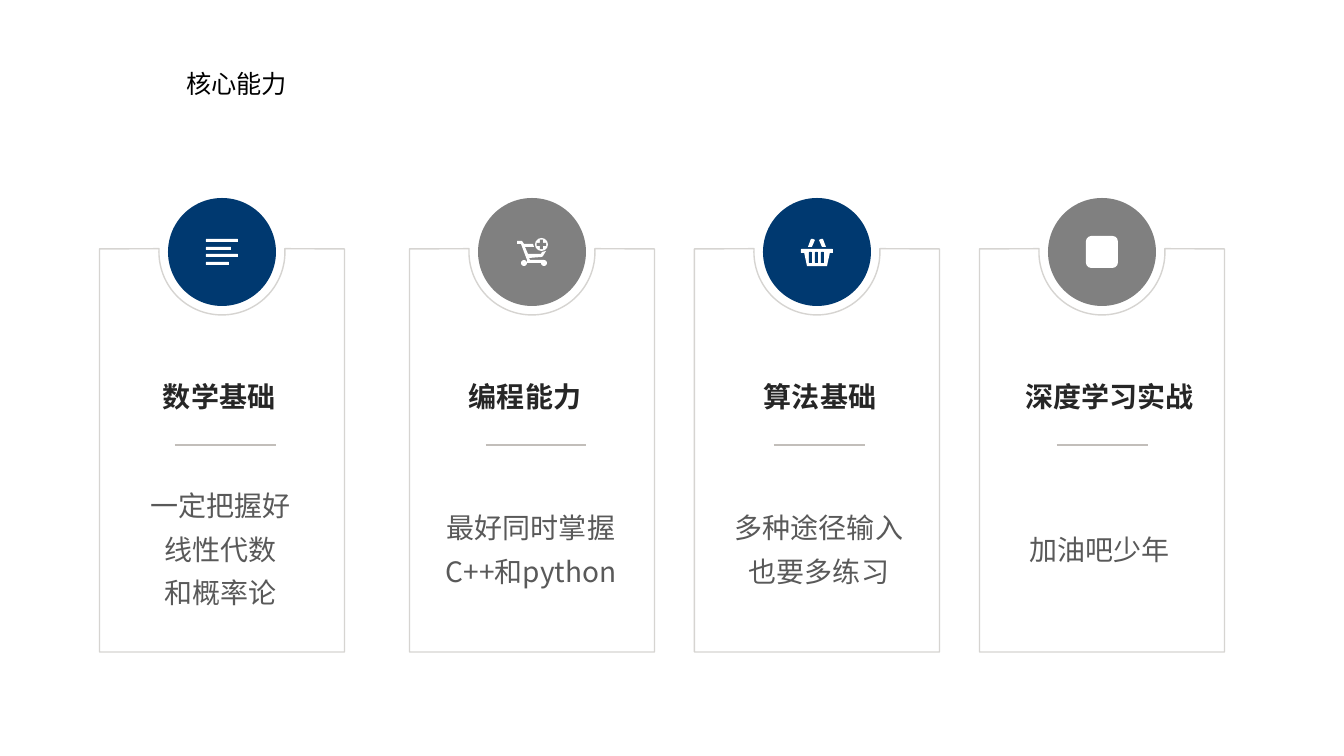
"""Build the core skills slide: four notched cards with round icon badges."""
import math
from dataclasses import dataclass

from lxml import etree
from pptx import Presentation
from pptx import util as u
from pptx.dml.color import RGBColor
from pptx.enum import shapes, text
from pptx.oxml.ns import qn


@dataclass(frozen=True)
class Theme:
    navy: str = "003970"
    gray: str = "808080"
    white: str = "FFFFFF"
    outline: str = "D6D4D1"
    rule: str = "C2BEBA"
    black: str = "000000"
    heading: str = "262626"
    body: str = "595959"
    latin: str = "Arial"
    cjk: str = "Noto Sans CJK SC"
    title_size: int = 18
    card_size: int = 20


T = Theme()
PX = 914400 / 100.8
SHAPE = shapes.MSO_SHAPE
OVAL, PILL, PLUS = SHAPE.OVAL, SHAPE.ROUNDED_RECTANGLE, SHAPE.MATH_PLUS


def draw(parent, kind, geometry, fill=None, line=None, origin=(0, 0)):
    ox, oy = origin
    if kind is None:
        points = [(round((x + ox) * PX), round((y + oy) * PX)) for x, y in geometry]
        builder = parent.build_freeform(*points[0])
        builder.add_line_segments(points[1:], close=True)
        sp = builder.convert_to_shape()
    else:
        x, y, w, h = geometry
        sp = parent.add_shape(kind, *(round(v * PX) for v in (x + ox, y + oy, w, h)))
    sp.shadow.inherit = False
    if fill:
        sp.fill.solid()
        sp.fill.fore_color.rgb = RGBColor.from_string(fill)
    else:
        sp.fill.background()
    if line:
        sp.line.color.rgb = RGBColor.from_string(line)
        sp.line.width = u.Pt(1)
    else:
        sp.line.fill.background()
    return sp


def write(parent, lines, box, *, size, color, font, bold=False, center=True,
          spacing=1.0, inset=3, anchor=text.MSO_ANCHOR.MIDDLE):
    sp = parent.add_textbox(*(round(v * PX) for v in box))
    tf = sp.text_frame
    tf.word_wrap = True
    tf.auto_size = text.MSO_AUTO_SIZE.SHAPE_TO_FIT_TEXT
    tf.vertical_anchor = anchor
    tf.margin_left = tf.margin_right = round(inset * PX)
    tf.margin_top = tf.margin_bottom = round(min(inset, 5) * PX)
    for i, line in enumerate(lines):
        p = tf.add_paragraph() if i else tf.paragraphs[0]
        p.alignment = text.PP_ALIGN.CENTER if center else text.PP_ALIGN.LEFT
        p.line_spacing = spacing
        r = p.add_run()
        r.text = line
        r.font.size = u.Pt(size)
        r.font.bold = bold
        r.font.color.rgb = RGBColor.from_string(color)
        r.font.name = font
        etree.SubElement(r._r.get_or_add_rPr(), qn("a:ea"), typeface=T.cjk)


CARD_W, CARD_TOP, CARD_BOTTOM = 245, 249, 652
BADGE_Y, BADGE_R, NOTCH_R = 252, 54, 63
RULE_Y, BODY_Y, BODY_W, BODY_LINE = 445, 544, 200, 44
HEADING_Y, HEADING_H, GLYPH_W, HEADING_SLACK = 371, 43, 28, 20

notch = [(NOTCH_R * math.cos(math.radians(a)), BADGE_Y + NOTCH_R * math.sin(math.radians(a)))
         for a in range(-3, 184, 3)]
half = CARD_W / 2
card = [(-half, CARD_TOP), (-half, CARD_BOTTOM), (half, CARD_BOTTOM), (half, CARD_TOP), *notch]

list_icon = [(PILL, (-16, y, w, 3), True)
             for y, w in zip((-13, -5, 2, 10), (32, 25, 32, 23))]
cart_frame = [(-4, 2), (9, 2), (10, 0), (14, -1), (11, 4), (10, 5), (-3, 6), (-2, 8),
              (12, 8), (12, 11), (-5, 11), (-5, 8), (-11, -8), (-15, -8), (-15, -11),
              (-10, -11), (-8, -8), (1, -8), (2, -5), (-7, -5)]
cart_icon = [(None, cart_frame, True), (OVAL, (-11, 8, 6, 6), True), (OVAL, (9, 8, 6, 6), True),
             (OVAL, (3, -14, 13, 13), True), (PLUS, (3, -14, 13, 13), False)]
handle = [(2, -12), (4, -13), (6, -13), (9, -5), (5, -5)]
basket_icon = [(PILL, (-16, -3, 32, 4), True),
               (None, [(-13, 0), (13, 0), (10, 14), (-10, 14)], True),
               *[(PILL, (x, 0, 3, 11), False) for x in (-8, -2, 4)],
               *[(None, [(side * x, y) for x, y in handle], True) for side in (-1, 1)]]
square_icon = [(PILL, (-16, -16, 32, 32), True)]

cards = [
    (222, T.navy, list_icon, "数学基础", 160, ["一定把握好", "线性代数", "和概率论"], 221, (175, 276)),
    (532, T.gray, cart_icon, "编程能力", 466, ["最好同时掌握", "C++和python"], 531, (486, 586)),
    (817, T.navy, basket_icon, "算法基础", 761, ["多种途径输入", "也要多练习"], 819, (774, 865)),
    (1102, T.gray, square_icon, "深度学习实战", 1022, ["加油吧少年"], 1100, (1057, 1148)),
]

prs = Presentation()
prs.slide_width, prs.slide_height = round(1344 * PX), round(756 * PX)
s = prs.slides.add_slide(prs.slide_layouts[6])

for cx, color, icon, heading, heading_x, body, body_cx, rule in cards:
    group = s.shapes.add_group_shape().shapes
    draw(group, None, card, line=T.outline, origin=(cx, 0))
    badge = (-BADGE_R, -BADGE_R, 2 * BADGE_R, 2 * BADGE_R)
    draw(group, OVAL, badge, fill=color, origin=(cx, BADGE_Y))
    for kind, geometry, is_white in icon:
        draw(group, kind, geometry, fill=T.white if is_white else color, origin=(cx, BADGE_Y))
    heading_w = GLYPH_W * len(heading) + HEADING_SLACK
    write(group, [heading], (heading_x, HEADING_Y, heading_w, HEADING_H), size=T.card_size,
          color=T.heading, font=T.latin, bold=True, center=False, spacing=1.2)
    body_h = BODY_LINE * len(body)
    write(group, body, (body_cx - BODY_W / 2, BODY_Y - body_h / 2, BODY_W, body_h),
          size=T.card_size, color=T.body, font=T.cjk, spacing=1.3)
    ends = [round(v * PX) for v in (rule[0], RULE_Y, rule[1], RULE_Y)]
    divider = group.add_connector(shapes.MSO_CONNECTOR.STRAIGHT, *ends)
    divider.line.color.rgb = RGBColor.from_string(T.rule)
    divider.line.width = u.Pt(1)
    etree.SubElement(divider._element.spPr, qn("a:effectLst"))

write(s.shapes, ["核心能力"], (114, 63, 245, 40), size=T.title_size, color=T.black,
      font=T.latin, inset=10, anchor=text.MSO_ANCHOR.TOP)

prs.save("out.pptx")
